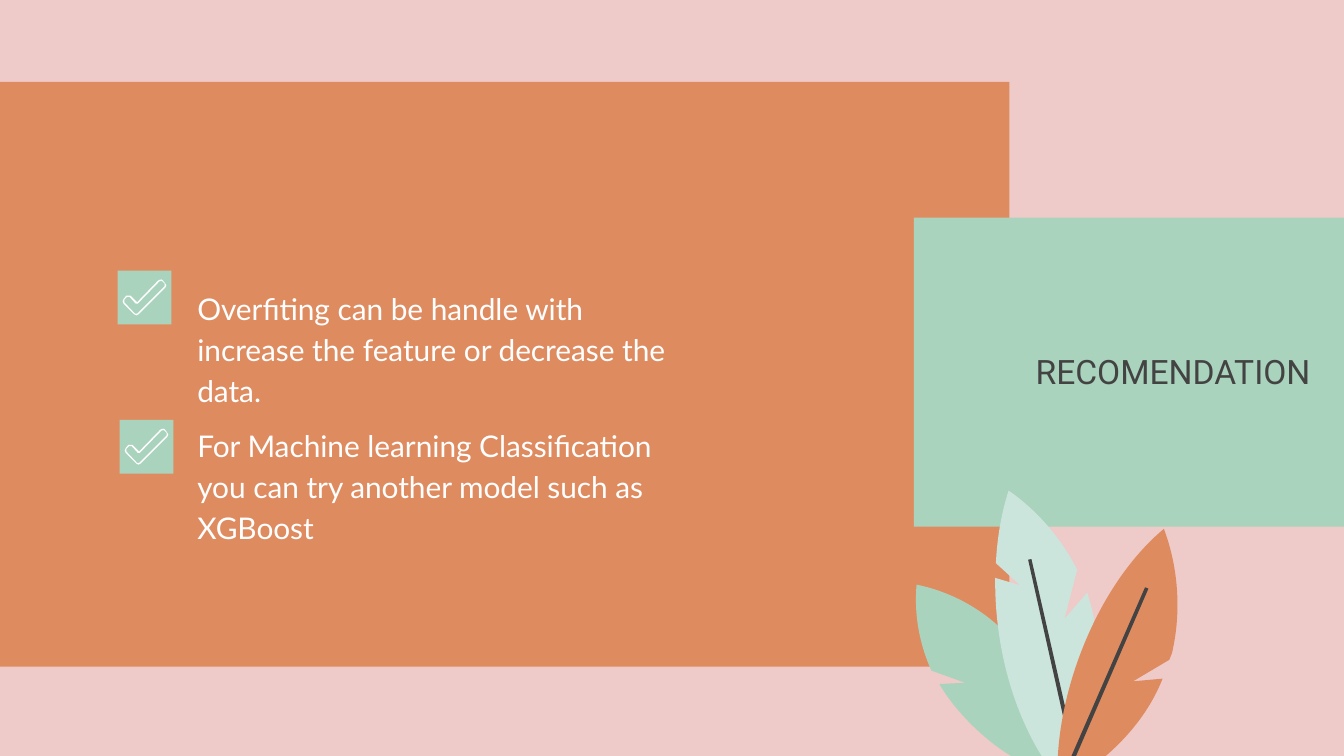
from typing import NamedTuple

from lxml.etree import SubElement
from pptx import Presentation
from pptx.dml.color import RGBColor
from pptx.enum.shapes import MSO_SHAPE
from pptx.enum.text import MSO_ANCHOR, PP_ALIGN
from pptx.oxml.ns import qn
from pptx.util import Emu, Pt

PX = 4572  # EMU per px, 200 px to the inch

PINK, ORANGE, GREEN, PALE_GREEN = "EECAC8", "DF8B60", "AAD3BD", "CBE5DD"
DARK, WHITE = "434343", "FFFFFF"


class Box(NamedTuple):
    left: int
    top: int
    width: int
    height: int


# A contour is a start point, then lines (two numbers) and cubic curves (six numbers).
Contour = list[tuple[int, ...]]


class Leaf(NamedTuple):
    box: Box
    contour: Contour
    color: str


class Advice(NamedTuple):
    text: str
    text_box: Box
    tile: Box
    check: Box


LEAVES = [
    Leaf(Box(1360, 870, 210, 258), [
        (1364, 870), (1422, 882, 1476, 914, 1512, 960), (1550, 1006, 1570, 1068, 1568, 1128),
        (1510, 1128), (1470, 1106, 1422, 1060, 1398, 1018), (1436, 1016),
        (1386, 998), (1368, 958, 1360, 914, 1364, 870)], GREEN),
    Leaf(Box(1480, 730, 162, 398), [
        (1501, 730), (1544, 760, 1580, 802, 1603, 848), (1584, 921), (1618, 882),
        (1620, 886, 1620, 892, 1622, 896), (1642, 964, 1640, 1062, 1614, 1128),
        (1552, 1128), (1504, 1052, 1480, 954, 1481, 860), (1518, 871),
        (1482, 838), (1484, 800, 1490, 764, 1501, 730)], PALE_GREEN),
    Leaf(Box(1530, 832, 72, 296), [
        (1535, 832), (1602, 1126), (1596, 1128), (1530, 833)], DARK),
    Leaf(Box(1574, 788, 184, 340), [
        (1732, 787), (1754, 846, 1758, 912, 1744, 972), (1742, 976, 1742, 978, 1740, 982),
        (1686, 1014), (1730, 1010), (1712, 1056, 1680, 1096, 1642, 1128),
        (1574, 1128), (1580, 1008, 1640, 864, 1732, 787)], ORANGE),
    Leaf(Box(1594, 874, 116, 254), [
        (1704, 874), (1709, 876), (1600, 1128), (1594, 1126)], DARK),
]

# Outer and inner edge of the check mark, from the corner of its box.
CHECK: list[Contour] = [
    [(58, 0), (56, 0, 54, 1, 53, 2), (22, 34), (12, 24), (10, 23, 8, 23, 6, 24),
     (2, 29), (0, 31, 0, 34, 2, 36), (18, 52), (20, 54, 22, 54, 24, 52),
     (64, 12), (66, 10, 66, 8, 64, 6), (60, 1), (60, 0, 59, 0, 58, 0)],
    [(58, 2), (59, 2, 59, 2, 60, 3), (63, 6), (64, 7, 64, 9, 63, 10),
     (22, 51), (21, 52, 20, 52, 19, 51), (3, 34), (2, 33, 2, 31, 3, 30),
     (7, 26), (8, 25, 10, 25, 11, 26), (20, 36), (21, 37, 22, 37, 23, 36),
     (55, 3), (56, 2, 57, 2, 58, 2)],
]

ADVICE = [
    Advice("Overfiting can be handle with increase the feature or decrease the data.",
           Box(274, 403, 746, 182), Box(175, 403, 80, 80), Box(182, 416, 67, 54)),
    Advice("For Machine learning Classification you can try another model such as XGBoost",
           Box(274, 607, 746, 182), Box(178, 625, 80, 80), Box(185, 638, 67, 54)),
]


def rgb(color: str) -> RGBColor:
    return RGBColor.from_string(color)


def emu(box: Box) -> list[Emu]:
    return [Emu(length * PX) for length in box]


def paint(shape, color: str) -> None:
    shape.shadow.inherit = False
    shape.fill.solid()
    shape.fill.fore_color.rgb = rgb(color)
    shape.line.fill.background()


def add_rectangle(slide, box: Box, color: str) -> None:
    paint(slide.shapes.add_shape(MSO_SHAPE.RECTANGLE, *emu(box)), color)


def add_outline(slide, box: Box, contours: list[Contour], color: str,
                origin: tuple[int, int] = (0, 0)) -> None:
    """Draw filled contours in a box; origin is the box corner in contour coordinates."""
    left, top, width, height = emu(box)
    builder = slide.shapes.build_freeform(left, top)
    builder.add_line_segments([(left + width, top + height)], close=True)
    shape = builder.convert_to_shape()
    paint(shape, color)

    geometry = shape.element.find(".//" + qn("a:path"))
    for command in list(geometry):
        geometry.remove(command)
    for contour in contours:
        for index, segment in enumerate(contour):
            tag = "a:moveTo" if index == 0 else "a:lnTo" if len(segment) == 2 else "a:cubicBezTo"
            command = SubElement(geometry, qn(tag))
            for x, y in zip(segment[::2], segment[1::2]):
                SubElement(command, qn("a:pt"),
                           x=str((x - origin[0]) * PX), y=str((y - origin[1]) * PX))
        SubElement(geometry, qn("a:close"))


def add_text(slide, text: str, box: Box, *, font: str, size: int, color: str,
             align: PP_ALIGN = PP_ALIGN.LEFT, top_inset: int = 20, bottom_inset: int = 20,
             line_spacing: float = 1.0, space_after: int = 0) -> None:
    frame = slide.shapes.add_textbox(*emu(box)).text_frame
    frame.word_wrap = True
    frame.vertical_anchor = MSO_ANCHOR.MIDDLE
    frame.margin_left = frame.margin_right = Emu(20 * PX)
    frame.margin_top, frame.margin_bottom = Emu(top_inset * PX), Emu(bottom_inset * PX)
    paragraph = frame.paragraphs[0]
    paragraph.alignment = align
    paragraph.line_spacing = line_spacing
    paragraph.space_after = Pt(space_after)
    run = paragraph.add_run()
    run.text = text
    run.font.name = font
    run.font.size = Pt(size)
    run.font.color.rgb = rgb(color)


def add_advice(slide, advice: Advice) -> None:
    add_text(slide, advice.text, advice.text_box, font="Lato", size=16, color=WHITE,
             top_inset=44, bottom_inset=0, line_spacing=1.15, space_after=16)
    add_rectangle(slide, advice.tile, GREEN)
    add_outline(slide, advice.check, CHECK, WHITE)


def main() -> None:
    presentation = Presentation()
    presentation.slide_width, presentation.slide_height = Emu(2000 * PX), Emu(1125 * PX)
    slide = presentation.slides.add_slide(presentation.slide_layouts[6])
    slide.background.fill.solid()
    slide.background.fill.fore_color.rgb = rgb(PINK)

    add_rectangle(slide, Box(0, 122, 1502, 870), ORANGE)
    add_rectangle(slide, Box(1360, 324, 640, 460), GREEN)
    add_text(slide, "RECOMENDATION", Box(1484, 480, 486, 144), font="Roboto", size=18,
             color=DARK, align=PP_ALIGN.RIGHT)
    for leaf in LEAVES:
        add_outline(slide, leaf.box, [leaf.contour], leaf.color, origin=leaf.box[:2])
    for advice in ADVICE:
        add_advice(slide, advice)

    presentation.save("out.pptx")


if __name__ == "__main__":
    main()
